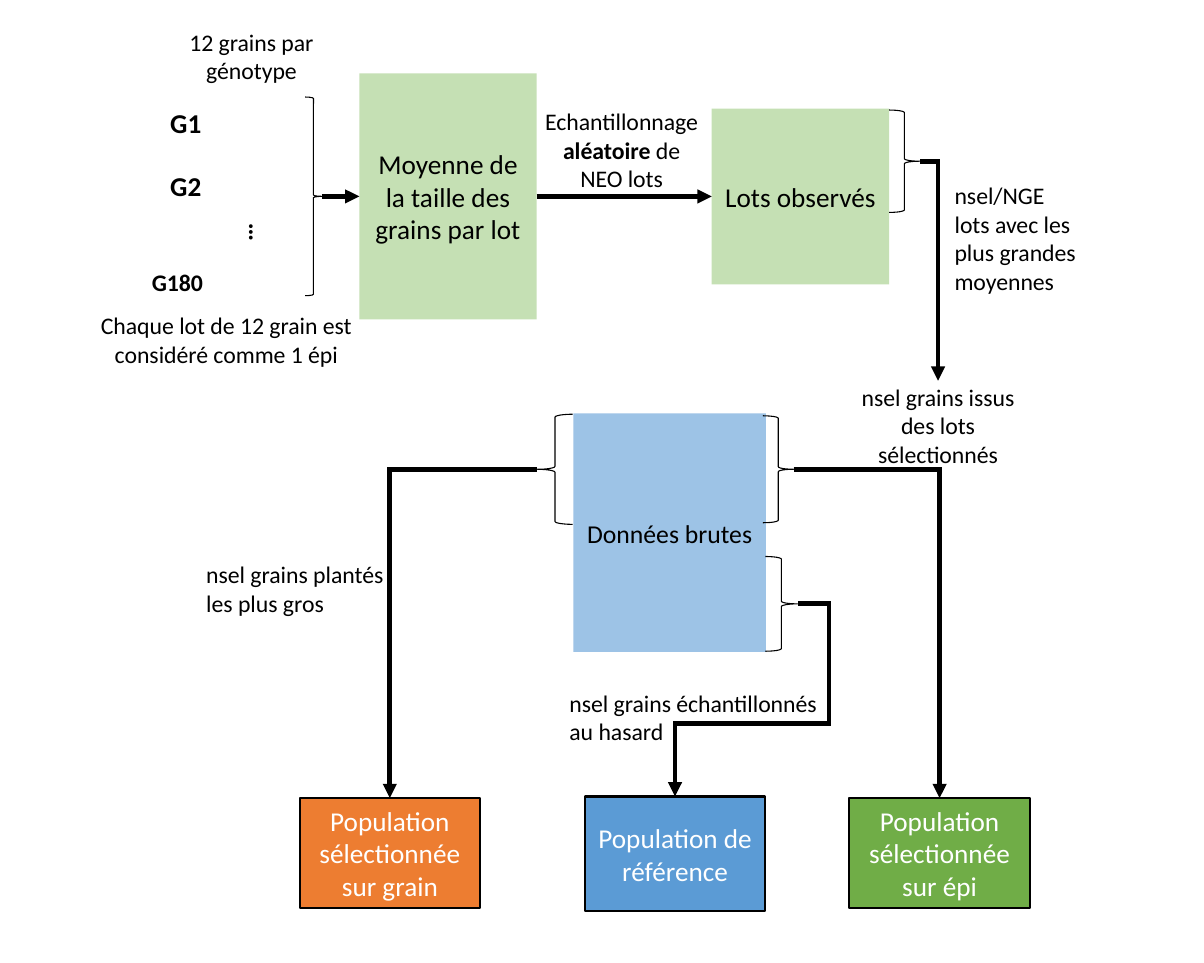
from lxml.etree import SubElement as Sub
from pptx import Presentation as Deck
from pptx.dml.color import RGBColor as RGB
from pptx.enum.shapes import MSO_CONNECTOR as Line, MSO_SHAPE as Form
from pptx.enum.text import MSO_ANCHOR as Anchor, MSO_AUTO_SIZE as Auto, PP_ALIGN as Align
from pptx.oxml.ns import qn
from pptx.util import Cm, Inches, Pt

HUES = {
    "ink": "000000", "white": "FFFFFF", "mint": "C5E0B4", "sky": "9DC3E6",
    "orange": "ED7D31", "blue": "5B9BD5", "green": "70AD47",
}
FONT = "Calibri"
SMALL, MID, LARGE = 11.2, 12.1, 12.8


def hue(name):
    return RGB.from_string(HUES[name])


def write(frame, words, size=SMALL, color="ink", bold=False, align=Align.CENTER):
    frame.word_wrap = True
    para = frame.paragraphs[0]
    para.alignment = align
    for i, part in enumerate(words.split("*")):
        run = para.add_run()
        run.text = part
        font = run.font
        font.name, font.size = FONT, Pt(size)
        font.bold = bold or i % 2 == 1
        font.color.rgb = hue(color)


class Chart:
    def __init__(self, wide, high, cell):
        self.cell = cell
        self.deck = Deck()
        self.deck.slide_width = wide
        self.deck.slide_height = high
        self.slide = self.deck.slides.add_slide(self.deck.slide_layouts[6])
        self.shapes = self.slide.shapes

    def grid(self, *cells):
        return [Inches(n * self.cell) for n in cells]

    def inset(self, frame):
        frame.margin_left = frame.margin_right = Inches(0.08)
        frame.margin_top = frame.margin_bottom = Inches(0.04)
        frame.vertical_anchor = Anchor.MIDDLE

    def box(self, words, place, fill, edge=False, **style):
        box = self.shapes.add_shape(Form.RECTANGLE, *self.grid(*place))
        box.shadow.inherit = False
        box.fill.solid()
        box.fill.fore_color.rgb = hue(fill)
        if edge:
            box.line.color.rgb = hue("ink")
            box.line.width = Pt(1)
        else:
            box.line.fill.background()
        self.inset(box.text_frame)
        write(box.text_frame, words, **style)
        return box

    def label(self, words, place, turn=0, fixed=False, **style):
        label = self.shapes.add_textbox(*self.grid(*place))
        label.rotation = turn
        frame = label.text_frame
        write(frame, words, **style)
        if fixed:
            self.inset(frame)
        else:
            frame.auto_size = Auto.SHAPE_TO_FIT_TEXT

    def brace(self, form, place):
        brace = self.shapes.add_shape(form, *self.grid(*place))
        brace.shadow.inherit = False
        brace.fill.background()
        brace.line.color.rgb = hue("ink")
        brace.line.width = Pt(0.5)

    def arrow(self, start, end, bend=None, bends=()):
        kind = Line.ELBOW if bend else Line.STRAIGHT
        arrow = self.shapes.add_connector(kind, *self.grid(*start, *end))
        arrow.line.color.rgb = hue("ink")
        arrow.line.width = Pt(2.25)
        props = arrow._element.spPr
        edge = props.find(qn("a:ln"))
        Sub(edge, qn("a:miter"), lim="800000")
        Sub(edge, qn("a:tailEnd"), type="triangle")
        Sub(props, qn("a:effectLst"))
        if bend:
            geom = props.find(qn("a:prstGeom"))
            geom.set("prst", bend)
            guides = geom.find(qn("a:avLst"))
            for i, share in enumerate(bends, 1):
                Sub(guides, qn("a:gd"), name=f"adj{i}", fmla=f"val {round(share * 100000)}")
        return arrow


def main():
    art = Chart(Cm(20), Cm(16), 0.1)

    means = art.box("Moyenne de la taille des grains par lot", (23.5, 4.8, 11.6, 16.1), "mint", size=LARGE)
    lots = art.box("Lots observés", (46.55, 7.1, 11.6, 11.5), "mint", size=LARGE)
    art.box("Données brutes ", (37.5, 27.05, 12.6, 15.6), "sky", size=MID)
    for words, left, top, high, fill in (
        ("Population sélectionnée sur grain", 19.6, 52.2, 7.2, "orange"),
        ("Population de référence", 38.25, 52.1, 7.5, "blue"),
        ("Population sélectionnée sur épi", 55.55, 52.2, 7.2, "green"),
    ):
        art.box(words, (left, top, 11.8, high), fill, edge=True, size=LARGE, color="white")

    for place in (
        (19.95, 6.35, 1.1, 13), (58.15, 7.2, 2, 6.7),
        (49.9, 27.2, 2, 7), (50.05, 36.4, 2.1, 6.2),
    ):
        art.brace(Form.RIGHT_BRACE, place)
    art.brace(Form.LEFT_BRACE, (35.15, 27.1, 2.3, 7.2))

    art.arrow((21.05, 12.85), (23.5, 12.85)).end_connect(means, 1)
    draw = art.arrow((35.1, 12.85), (46.55, 12.85))
    draw.begin_connect(means, 3)
    draw.end_connect(lots, 1)
    for start, end in (
        ((60.2, 10.55), (61.35, 24.9)),
        ((35.1, 30.7), (25.5, 52.2)),
        ((51.9, 30.7), (61.45, 52.2)),
    ):
        art.arrow(start, end, "bentConnector2")
    art.arrow((52.2, 39.5), (44.15, 52.1), "bentConnector4", (-0.25, 0.62))

    for words, place, size in (
        ("G1", (10.15, 6.45, 4.7, 3.2), LARGE),
        ("G2", (10.15, 10.6, 4.7, 3.2), LARGE),
        ("G180", (8.95, 17, 6.4, 2.9), SMALL),
    ):
        art.label(words, place, size=size, bold=True, align=Align.LEFT)
    art.label("…", (14, 13.7, 3.7, 3), turn=270, size=MID, bold=True)

    for words, place in (
        ("12 grains par génotype", (10.8, 1.3, 11.3, 4.8)),
        ("Chaque lot de 12 grain est considéré comme 1 épi", (5.35, 19.85, 18.9, 4.8)),
        ("Echantillonnage *aléatoire* de NEO lots", (34.55, 6.5, 12.2, 6.7)),
    ):
        art.label(words, place)
    art.label("nsel grains issus des lots sélectionnés", (55.55, 24.85, 11.6, 5.9), fixed=True)
    for words, place in (
        ("nsel/NGE lots avec les plus grandes moyennes", (61.45, 11.35, 10.4, 8.5)),
        ("nsel grains plantés les plus gros", (12.5, 36.15, 14.1, 4.8)),
        ("nsel grains échantillonnés au hasard", (36.25, 44.55, 18.8, 4.8)),
    ):
        art.label(words, place, align=Align.LEFT)

    art.deck.save("out.pptx")


if __name__ == "__main__":
    main()
